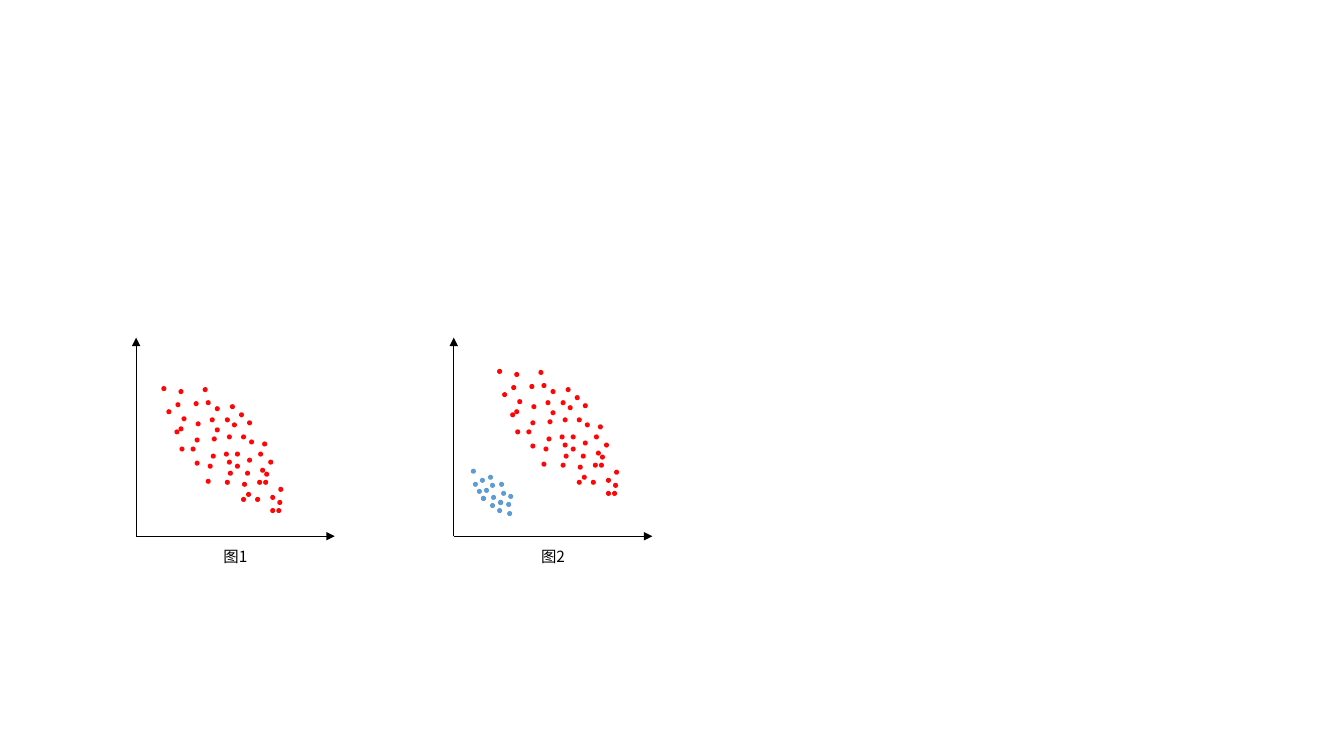
from lxml import etree
from pptx import Presentation
from pptx import util as u
from pptx.dml.color import RGBColor
from pptx.enum import shapes, text
from pptx.oxml.ns import qn

COLORS = {"axis": "000000", "main": "FF0000", "second": "5B9BD5"}
FONT = "Noto Sans CJK SC"

MAIN_CLOUD = [
    (0, 0), (5, 23), (84, 105), (50, 50), (20, 30), (83, 84), (14, 16), (34, 35), (33, 51),
    (49, 67), (66, 84), (17, 3), (17, 40), (63, 31), (79, 48), (96, 65), (32, 15), (48, 31),
    (65, 48), (73, 77), (98, 81), (53, 41), (77, 26), (85, 71), (106, 73), (101, 93), (13, 43),
    (29, 60), (46, 77), (63, 93), (79, 110), (53, 20), (70, 36), (87, 53), (44, 14), (33, 74),
    (41, 1), (68, 18), (85, 34), (18, 60), (62, 65), (100, 55), (44, 92), (65, 73), (73, 65),
    (80, 95), (95, 93), (102, 85), (93, 110), (108, 108), (116, 100), (114, 121), (108, 121),
    (115, 113),
]
SECOND_CLOUD = [
    (20, 26), (17, 6), (6, 20), (27, 31), (19, 14), (30, 22), (36, 42), (28, 13), (27, 31),
    (35, 33), (19, 34), (26, 39), (2, 13), (0, 0), (10, 27), (9, 9), (13, 19), (10, 27), (37, 25),
]
PLOTS = [
    ("图1", [(MAIN_CLOUD, "main", 0.25, -1.49)]),
    ("图2", [(MAIN_CLOUD, "main", 0.43, -1.66), (SECOND_CLOUD, "second", 0.17, -0.67)]),
]

ORIGIN_X, ORIGIN_Y, PLOT_PITCH = 1.35, 5.32, 3.15
AXIS_LENGTH = 1.97
DOT_SIZE = 0.05
DOT_UNIT = 0.01


def add_axis(parent, left, base, right, top):
    ends = [u.Inches(length) for length in (left, base, right, top)]
    axis = parent.add_connector(shapes.MSO_CONNECTOR.STRAIGHT, *ends)
    axis.line.width = u.Pt(0.5)
    axis.line.color.rgb = RGBColor.from_string(COLORS["axis"])
    etree.SubElement(axis.line._get_or_add_ln(), qn("a:tailEnd"), type="triangle")
    etree.SubElement(axis._element.spPr, qn("a:effectLst"))


def add_caption(parent, words, left, top, width=0.49, height=0.29, size=11, color="axis"):
    box = parent.add_textbox(*[u.Inches(length) for length in (left, top, width, height)])
    frame = box.text_frame
    frame.word_wrap = False
    frame.auto_size = text.MSO_AUTO_SIZE.SHAPE_TO_FIT_TEXT
    para = frame.paragraphs[0]
    para.alignment = text.PP_ALIGN.CENTER
    span = para.add_run()
    span.text = words
    span.font.size = u.Pt(size)
    span.font.name = FONT
    span.font.color.rgb = RGBColor.from_string(COLORS[color])
    etree.SubElement(span.font._element, qn("a:ea"), typeface=FONT)


def add_dot(parent, left, top, color):
    place = [u.Inches(length) for length in (left, top, DOT_SIZE, DOT_SIZE)]
    dot = parent.add_shape(shapes.MSO_SHAPE.OVAL, *place)
    dot.shadow.inherit = False
    dot.line.fill.background()
    dot.fill.solid()
    dot.fill.fore_color.rgb = RGBColor.from_string(COLORS[color])
    fill_color = dot._element.spPr.find(qn("a:solidFill"))[0]
    etree.SubElement(fill_color, qn("a:alpha"), val="98000")


def add_plot(page, caption, clouds, left, base):
    frame = page.shapes.add_group_shape().shapes
    add_axis(frame, left, base, left, base - AXIS_LENGTH)
    add_axis(frame, left, base, left + AXIS_LENGTH, base)
    add_caption(frame, caption, left + 0.74, base + 0.06)
    for dots, color, shift_x, shift_y in clouds:
        for column, row in dots:
            add_dot(page.shapes, left + shift_x + column * DOT_UNIT,
                    base + shift_y + row * DOT_UNIT, color)


def main():
    deck = Presentation()
    deck.slide_width, deck.slide_height = u.Inches(13.33), u.Inches(7.5)
    page = deck.slides.add_slide(deck.slide_layouts[6])
    for index, (caption, clouds) in enumerate(PLOTS):
        add_plot(page, caption, clouds, ORIGIN_X + index * PLOT_PITCH, ORIGIN_Y)
    deck.save("out.pptx")


if __name__ == "__main__":
    main()
